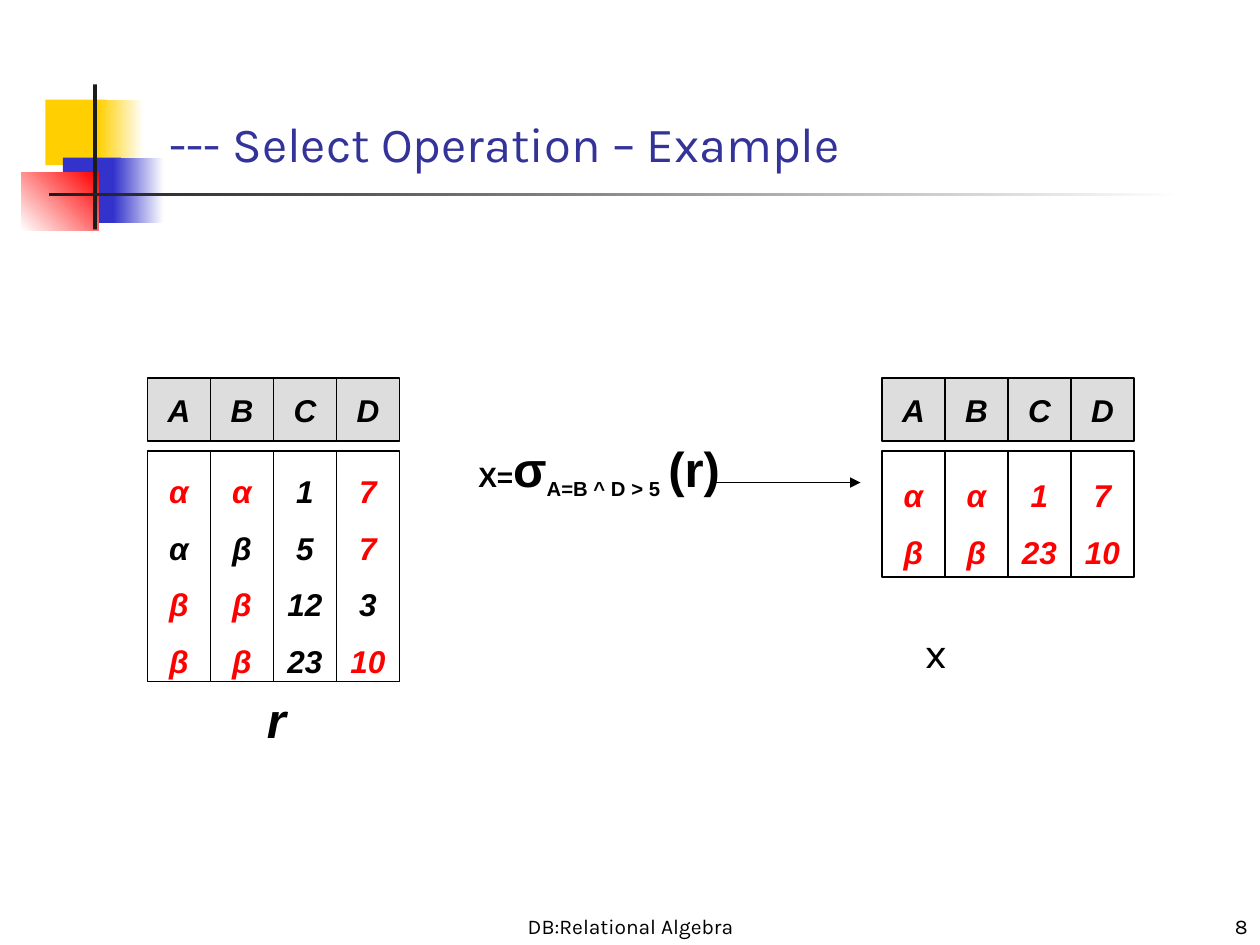
"""Build the select operation example slide of a relational algebra lecture."""

import pptx
import pptx.dml.color
import pptx.enum.shapes
import pptx.enum.text
import pptx.oxml
import pptx.oxml.ns
import pptx.util

Inches = pptx.util.Inches
Pt = pptx.util.Pt
RGBColor = pptx.dml.color.RGBColor
Align = pptx.enum.text.PP_ALIGN
Anchor = pptx.enum.text.MSO_ANCHOR

BLACK = RGBColor(0x00, 0x00, 0x00)
WHITE = RGBColor(0xFF, 0xFF, 0xFF)
RED = RGBColor(0xFF, 0x00, 0x00)
YELLOW = RGBColor(0xFF, 0xCF, 0x01)
BLUE = RGBColor(0x33, 0x33, 0xCC)
CHARCOAL = RGBColor(0x1C, 0x1C, 0x1C)
TITLE_BLUE = RGBColor(0x33, 0x33, 0x99)
HEADER_GRAY = RGBColor(0xDD, 0xDD, 0xDD)

CELL = 0.5
HEADER_TOP = 3
BODY_TOP = 3.58
COLUMNS = "ABCD"
RELATION = [("α", "α", 1, 7), ("α", "β", 5, 7), ("β", "β", 12, 3), ("β", "β", 23, 10)]


def format_run(run, size, color=BLACK, name="Karla", bold=False, italic=False):
    font = run.font
    font.size = Pt(size)
    font.name = name
    font.bold = bold
    font.italic = italic
    font.color.rgb = color


def add_rectangle(slide, left, top, width, height):
    shape = slide.shapes.add_shape(
        pptx.enum.shapes.MSO_SHAPE.RECTANGLE,
        Inches(left), Inches(top), Inches(width), Inches(height))
    shape.shadow.inherit = False
    shape.line.fill.background()
    return shape


def add_solid(slide, box, color):
    shape = add_rectangle(slide, *box)
    shape.fill.solid()
    shape.fill.fore_color.rgb = color
    return shape


def add_gradient(slide, box, start, end, angle=0):
    shape = add_rectangle(slide, *box)
    shape.fill.gradient()
    shape.fill.gradient_angle = angle
    for stop, color in zip(shape.fill.gradient_stops, (start, end)):
        stop.color.rgb = color


def add_text(slide, box, runs, alignment=Align.LEFT, anchor=Anchor.MIDDLE, wrap=True):
    """Add a text box whose runs are (text, format) pairs and return those runs."""
    shape = slide.shapes.add_textbox(*map(Inches, box))
    frame = shape.text_frame
    frame.word_wrap = wrap
    frame.vertical_anchor = anchor
    paragraph = frame.paragraphs[0]
    paragraph.alignment = alignment
    for text, style in runs:
        run = paragraph.add_run()
        run.text = text
        format_run(run, **style)
    return paragraph.runs


def add_cell(slide, box, fill, entries, line_spacing=1.0):
    """Add an outlined box with one centred line per (text, color) entry."""
    shape = add_solid(slide, box, fill)
    shape.line.color.rgb = BLACK
    shape.line.width = Pt(0.75)
    frame = shape.text_frame
    frame.word_wrap = False
    frame.vertical_anchor = Anchor.MIDDLE
    frame.text = "\n".join(text for text, color in entries)
    for paragraph, (text, color) in zip(frame.paragraphs, entries):
        paragraph.alignment = Align.CENTER
        paragraph.line_spacing = line_spacing
        format_run(paragraph.runs[0], 18, color, "Arial", True, True)


def meets_condition(row, column):
    """Tell whether a value satisfies its part of A=B ^ D > 5."""
    a, b, c, d = row
    return {"A": a == b, "B": a == b, "C": False, "D": d > 5}[column]


def add_relation(slide, left, height, rows, is_red):
    for index, column in enumerate(COLUMNS):
        x = left + index * CELL
        entries = [(str(row[index]), RED if is_red(row, column) else BLACK) for row in rows]
        add_cell(slide, (x, HEADER_TOP, CELL, CELL), HEADER_GRAY, [(column, BLACK)])
        add_cell(slide, (x, BODY_TOP, CELL, height), WHITE, entries, 1.5)


def add_arrow(slide, start, end):
    connector = slide.shapes.add_connector(
        pptx.enum.shapes.MSO_CONNECTOR.STRAIGHT, *map(Inches, start + end))
    connector.line.color.rgb = BLACK
    connector.line.width = Pt(0.75)
    qualified = pptx.oxml.ns.qn
    line = connector.line._get_or_add_ln()
    line.append(line.makeelement(qualified("a:tailEnd"), {"type": "triangle"}))
    properties = connector._element.spPr
    properties.append(properties.makeelement(qualified("a:effectLst"), {}))


def add_decoration(slide):
    add_solid(slide, (0.36, 0.79, 0.48, 0.52), YELLOW)
    add_gradient(slide, (0.78, 0.79, 0.36, 0.52), YELLOW, WHITE)
    add_solid(slide, (0.5, 1.25, 0.46, 0.52), BLUE)
    add_gradient(slide, (0.9, 1.25, 0.4, 0.52), BLUE, WHITE)
    add_gradient(slide, (0.17, 1.37, 0.61, 0.46), WHITE, RED, 45)
    add_solid(slide, (0.74, 0.67, 0.03, 1.15), CHARCOAL)
    add_gradient(slide, (0.39, 1.53, 9, 0.03), CHARCOAL, WHITE)


def add_formula(slide):
    parts = [("X=", 16), ("σ", 28), ("A=B ^ D > 5", 20), (" ", 28), ("(r)", 28)]
    runs = add_text(
        slide, (3.42, 3.43, 2.67, 0.63),
        [(text, dict(size=size, name="Arial", bold=True)) for text, size in parts],
        Align.CENTER)
    for run in runs[2:4]:
        run.font._element.set("baseline", "-25000")


def main():
    presentation = pptx.Presentation()
    presentation.slide_width = Inches(10)
    presentation.slide_height = Inches(7.5)
    slide = presentation.slides.add_slide(presentation.slide_layouts[6])

    add_decoration(slide)
    add_text(slide, (3.42, 7.08, 3.17, 0.42), [("DB:Relational Algebra", dict(size=12))],
             Align.CENTER, Anchor.BOTTOM)
    add_text(slide, (7.92, 7.08, 2.08, 0.42), [("8", dict(size=12))],
             Align.RIGHT, Anchor.BOTTOM)
    add_text(slide, (1.25, 0.75, 8.52, 0.67),
             [("--- Select Operation – Example", dict(size=28, color=TITLE_BLUE))],
             anchor=Anchor.BOTTOM)

    label_style = dict(name="Arial", bold=True, italic=True)
    add_text(slide, (1.69, 5.42, 0.93, 0.57),
             [(" ", dict(size=20, **label_style)), ("r", dict(size=28, **label_style))],
             Align.CENTER, wrap=False)
    add_relation(slide, 1.17, 1.83, RELATION, meets_condition)
    add_formula(slide)
    selected = [row for row in RELATION if all(meets_condition(row, c) for c in "ABD")]
    add_relation(slide, 7, 1, selected, lambda row, column: True)
    add_arrow(slide, (5.67, 3.83), (6.83, 3.83))
    add_text(slide, (7.25, 4.92, 0.92, 0.5), [("x", dict(size=24))], anchor=Anchor.TOP)

    presentation.save("out.pptx")


if __name__ == "__main__":
    main()
